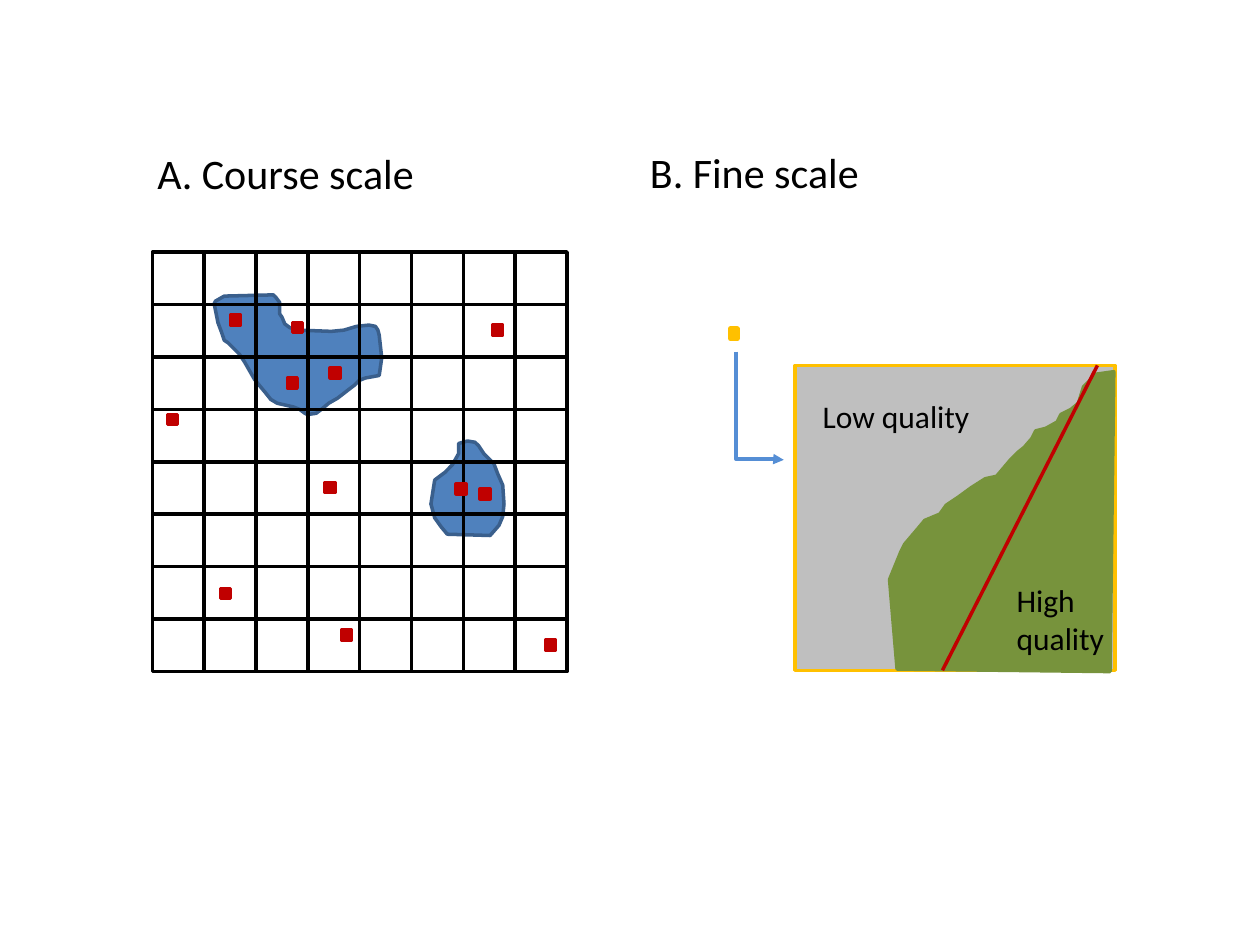
from collections import namedtuple
from lxml.etree import SubElement
from pptx import Presentation
from pptx.dml.color import RGBColor
from pptx.enum.shapes import MSO_CONNECTOR, MSO_SHAPE
from pptx.enum.text import MSO_AUTO_SIZE
from pptx.oxml.ns import qn
from pptx.util import Inches, Pt

BLACK = RGBColor(0x00, 0x00, 0x00)
BLUE = RGBColor(0x4F, 0x81, 0xBD)
NAVY = RGBColor(0x3A, 0x5F, 0x8C)
SKY = RGBColor(0x55, 0x8E, 0xD5)
RED = RGBColor(0xC0, 0x00, 0x00)
GOLD = RGBColor(0xFF, 0xC0, 0x00)
GREY = RGBColor(0xBF, 0xBF, 0xBF)
GREEN = RGBColor(0x77, 0x93, 0x3C)

# All lengths are in hundredths of an inch, offsets are from a box's corner
UNIT = Inches(0.01)
Box = namedtuple("Box", "x y w h")
CELLS = 8
SITE = 8

WEST = [(96, 34), (57, 35), (50, 39), (49, 41), (52, 56), (55, 64), (57, 70),
        (60, 72), (64, 76), (69, 81), (73, 87), (77, 94), (81, 101), (85, 106),
        (90, 112), (94, 117), (99, 120), (112, 123), (117, 125), (121, 128),
        (123, 129), (130, 128), (134, 125), (140, 120), (147, 116), (156, 109),
        (160, 106), (164, 102), (169, 100), (180, 98), (182, 84), (180, 66),
        (179, 62), (177, 59), (172, 58), (162, 59), (152, 62), (142, 63),
        (116, 62), (109, 60), (105, 57), (103, 52), (101, 49), (101, 40), (98, 36)]
EAST = [(243, 152), (250, 150), (256, 151), (259, 154), (263, 160), (271, 168),
        (274, 176), (278, 185), (279, 200), (278, 210), (275, 217), (268, 225),
        (234, 224), (229, 218), (224, 211), (221, 200), (224, 181), (232, 175),
        (238, 169), (243, 160)]
SITES = [(62, 50), (107, 100), (111, 56), (270, 58), (312, 308), (260, 188),
         (241, 184), (54, 267), (137, 183), (141, 92), (150, 300), (12, 129)]
WOOD = [(253, 5), (250, 243), (81, 241), (75, 170), (84, 148), (87, 142),
        (98, 129), (103, 123), (115, 118), (120, 111), (129, 105), (140, 97),
        (151, 90), (160, 88), (171, 75), (177, 69), (182, 65), (188, 58),
        (191, 52), (199, 50), (208, 45), (211, 39), (219, 35), (225, 30),
        (229, 17), (233, 13), (239, 7), (246, 6)]


def emu(*nums):
    return [round(n * UNIT) for n in nums]


def paint(shape, fill, line, width=2):
    shape.shadow.inherit = False
    if fill is None:
        shape.fill.background()
    else:
        shape.fill.solid()
        shape.fill.fore_color.rgb = fill
    shape.line.color.rgb = line
    shape.line.width = Pt(width)


def block(slide, box, fill, line, width=2):
    shape = slide.shapes.add_shape(MSO_SHAPE.RECTANGLE, *emu(*box))
    paint(shape, fill, line, width)


def patch(slide, box, points, fill, line):
    path = slide.shapes.build_freeform(*points[0], scale=float(UNIT))
    path.add_line_segments(points[1:], close=True)
    paint(path.convert_to_shape(*emu(box.x, box.y)), fill, line)


def rule(slide, ends, color, kind=MSO_CONNECTOR.STRAIGHT):
    line = slide.shapes.add_connector(kind, *emu(*ends))
    line.line.color.rgb = color
    line.line.width = Pt(2)
    SubElement(line._element.spPr, qn("a:effectLst"))
    return line


def label(slide, box, lines, size):
    frame = slide.shapes.add_textbox(*emu(*box)).text_frame
    frame.word_wrap = True
    frame.auto_size = MSO_AUTO_SIZE.SHAPE_TO_FIT_TEXT
    frame.text = "\n".join(lines)
    for para in frame.paragraphs:
        for key, val in {"name": "Calibri", "size": Pt(size)}.items():
            setattr(para.font, key, val)
        para.font.color.rgb = BLACK


def arrow(slide, x, y, w, h):
    """Elbow that runs down from (x, y), then right to (x + w, y + h)."""
    # The stock elbow starts sideways, so it is mirrored and turned a quarter
    mid, top = x + w / 2, y + h / 2
    ends = (mid + h / 2, top - w / 2, mid - h / 2, top + w / 2)
    line = rule(slide, ends, SKY, MSO_CONNECTOR.ELBOW)
    props = line._element.spPr
    props.find(qn("a:xfrm")).set("rot", "16200000")
    bend = props.find(qn("a:prstGeom")).get_or_add_avLst()
    SubElement(bend, qn("a:gd"), name="adj1", fmla="val 99400")
    SubElement(line.line._get_or_add_ln(), qn("a:tailEnd"), type="triangle")


def coarse(slide, box):
    # Lakes
    for shore in (EAST, WEST):
        patch(slide, box, shore, BLUE, NAVY)
    # Survey grid
    block(slide, box, None, BLACK)
    for i in range(1, CELLS):
        x = box.x + box.w * i / CELLS
        y = box.y + box.h * i / CELLS
        rule(slide, (x, box.y, x, box.y + box.h), BLACK)
        rule(slide, (box.x, y, box.x + box.w, y), BLACK)
    # Sample sites
    for x, y in SITES:
        block(slide, (box.x + x, box.y + y, SITE, SITE), RED, RED)


def fine(slide, box):
    # One site, enlarged
    block(slide, (box.x - 51, box.y - 29, 5, SITE), GOLD, GOLD, 3)
    block(slide, box, GREY, GOLD)
    patch(slide, box, WOOD, GREEN, GREEN)
    # Transect
    rule(slide, (box.x + 117, box.y + box.h, box.x + 240, box.y), RED)
    # Labels and pointer
    label(slide, (box.x + 12, box.y + 20, 159, 40), ["Low quality"], 18)
    label(slide, (box.x + 166, box.y + 166, 159, 71), ["High", "quality"], 18)
    arrow(slide, box.x - 47, box.y - 11, 38, 86)


def main():
    deck = Presentation()
    deck.slide_width, deck.slide_height = Inches(10), Inches(7.5)
    slide = deck.slides.add_slide(deck.slide_layouts[6])
    coarse(slide, Box(121, 200, 329, 333))
    fine(slide, Box(631, 290, 254, 242))
    # Panel headings
    label(slide, (115, 112, 275, 50), ["A. Course scale"], 24)
    label(slide, (506, 111, 275, 50), ["B. Fine scale"], 24)
    deck.save("out.pptx")


if __name__ == "__main__":
    main()
